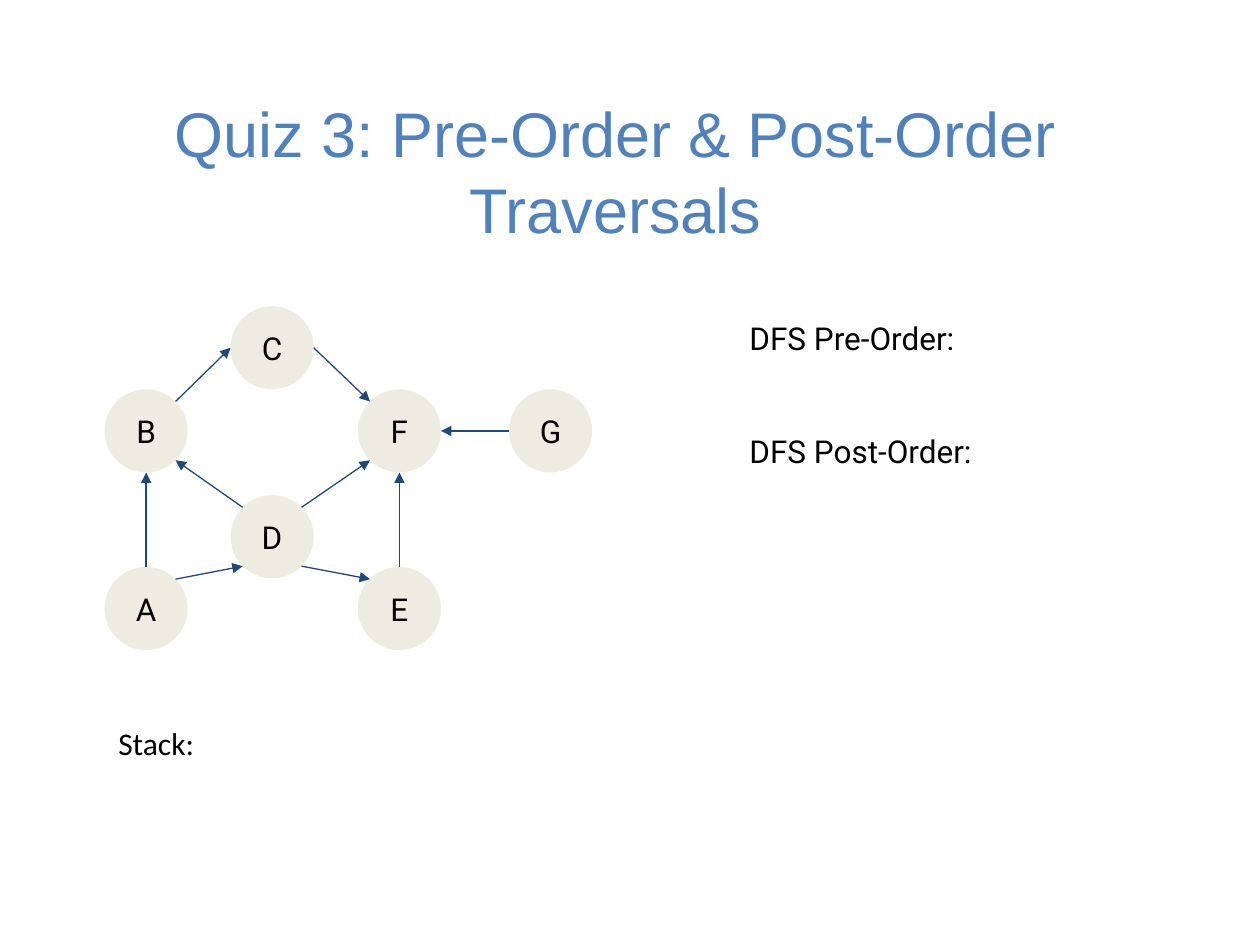
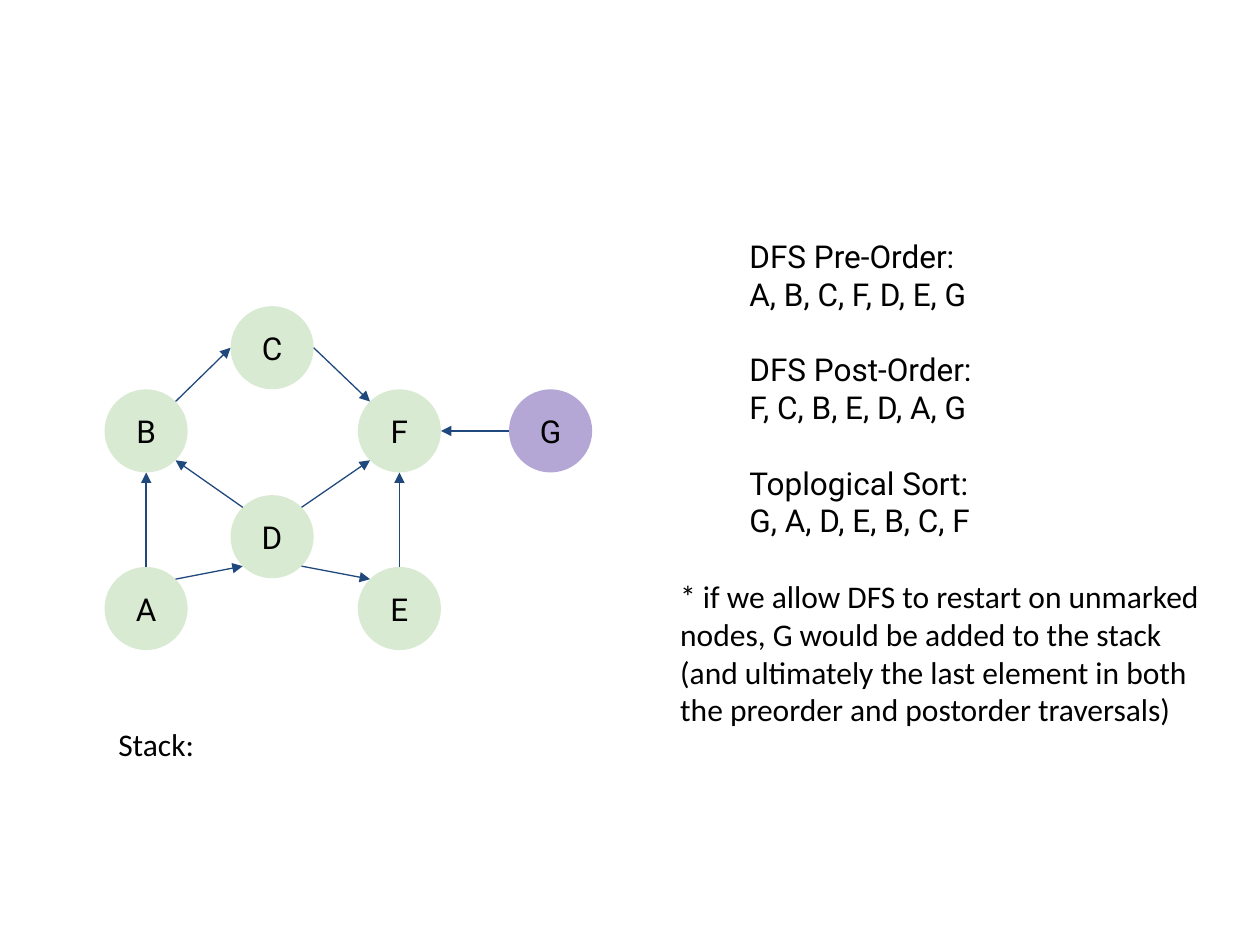
from math import sqrt

from pptx import Presentation
from pptx.dml.color import RGBColor
from pptx.enum.shapes import MSO_CONNECTOR as Connector
from pptx.enum.shapes import MSO_SHAPE as Shape
from pptx.enum.text import MSO_ANCHOR as Anchor
from pptx.enum.text import MSO_AUTO_SIZE as AutoSize
from pptx.enum.text import PP_ALIGN as Align
from pptx.oxml import parse_xml
from pptx.oxml.ns import nsdecls, qn
from pptx.util import Inches, Pt

COLUMNS, ROWS = 100, 75
TITLE_ONLY, BLANK = 5, 6
INK, NAVY, TITLE_BLUE = "000000", "1F497D", "4F81BD"
UNVISITED, VISITED, RESTARTED = "EEECE1", "D9EAD3", "B4A7D6"

NODE_SIZE = 6.6
NODES = {
    "A": (8.3, 45), "B": (8.3, 30.9), "D": (18.3, 39.3), "E": (28.4, 45),
    "F": (28.4, 30.9), "C": (18.3, 24.3), "G": (40.4, 30.9),
}
DIAGONAL = 1 / sqrt(2)
SITES = {
    "top": (0, -1), "bottom": (0, 1), "left": (-1, 0), "right": (1, 0),
    "top left": (-DIAGONAL, -DIAGONAL), "top right": (DIAGONAL, -DIAGONAL),
    "bottom left": (-DIAGONAL, DIAGONAL), "bottom right": (DIAGONAL, DIAGONAL),
}
EDGES = [
    ("A", "top", "B", "bottom"),
    ("A", "top right", "D", "bottom left"),
    ("D", "top left", "B", "bottom right"),
    ("B", "top right", "C", "left"),
    ("D", "top right", "F", "bottom left"),
    ("D", "bottom right", "E", "top left"),
    ("E", "top", "F", "bottom"),
    ("C", "right", "F", "top left"),
    ("G", "left", "F", "right"),
]


def color(value):
    return RGBColor.from_string(value)


def set_values(target, values):
    for name, value in values.items():
        setattr(target, name, value)


class GraphDeck:
    """Builds slides that show a depth-first search on a directed graph."""

    def __init__(self):
        self.presentation = Presentation()
        self.presentation.slide_width = Inches(10)
        self.presentation.slide_height = Inches(7.5)
        self.frame_format = {
            f"margin_{side}": Inches(0.1) for side in ("left", "top", "right", "bottom")
        } | {"word_wrap": True}
        self.slide = None

    def add_slide(self, layout):
        layouts = self.presentation.slide_layouts
        self.slide = self.presentation.slides.add_slide(layouts[layout])

    def place(self, column, row):
        width, height = self.presentation.slide_width, self.presentation.slide_height
        return round(column * width / COLUMNS), round(row * height / ROWS)

    def fill_text(self, shape, groups, font="Roboto", size=18, ink=INK, align=Align.LEFT,
                  gap_lines=1, anchor=Anchor.TOP, fit=AutoSize.NONE):
        frame = shape.text_frame
        set_values(frame, self.frame_format | {"vertical_anchor": anchor, "auto_size": fit})
        line_height = Pt(size * 1.2)
        frame.text = "\n".join(line for group in groups for line in group)
        for paragraph in frame.paragraphs:
            set_values(paragraph, {"alignment": align, "line_spacing": line_height})
            set_values(paragraph.font, {"name": font, "size": Pt(size)})
            paragraph.font.color.rgb = color(ink)
        start = 0
        for group in groups[:-1]:
            start += len(group)
            frame.paragraphs[start].space_before = line_height * gap_lines

    def title(self, text):
        shape = self.slide.shapes.title
        shape.left, shape.top = self.place(1.1, 6.5)
        shape.width, shape.height = self.place(95.5, 8.4)
        self.fill_text(shape, [[text]], font="Arial", size=36, ink=TITLE_BLUE,
                       align=Align.CENTER)

    def text(self, column, row, width, height, groups, **style):
        box = self.slide.shapes.add_textbox(*self.place(column, row), *self.place(width, height))
        self.fill_text(box, groups, fit=AutoSize.SHAPE_TO_FIT_TEXT, **style)

    def node(self, letter, fill):
        shape = self.slide.shapes.add_shape(
            Shape.OVAL, *self.place(*NODES[letter]), *self.place(NODE_SIZE, NODE_SIZE))
        shape.shadow.inherit = False
        shape.fill.solid()
        shape.fill.fore_color.rgb = color(fill)
        shape.line.fill.background()
        self.fill_text(shape, [[letter]], align=Align.CENTER, anchor=Anchor.MIDDLE)

    def site(self, letter, side):
        radius = NODE_SIZE / 2
        return self.place(*(
            corner + radius * (1 + offset)
            for corner, offset in zip(NODES[letter], SITES[side])))

    def arrow(self, start, start_side, end, end_side):
        connector = self.slide.shapes.add_connector(
            Connector.STRAIGHT, *self.site(start, start_side), *self.site(end, end_side))
        connector.line.color.rgb = color(NAVY)
        connector.line.width = Pt(0.75)
        line = connector.element.spPr.find(qn("a:ln"))
        line.append(parse_xml(f'<a:tailEnd {nsdecls("a")} type="triangle"/>'))
        line.addnext(parse_xml(f'<a:effectLst {nsdecls("a")}/>'))

    def graph(self, fill, special=None):
        for letter in NODES:
            self.node(letter, (special or {}).get(letter, fill))
        for edge in EDGES:
            self.arrow(*edge)

    def stack(self, height):
        self.text(8.4, 56.5, 80.2, height, [["Stack:"]], font="Calibri")


def main():
    deck = GraphDeck()

    deck.add_slide(TITLE_ONLY)
    deck.title("Quiz 3: Pre-Order & Post-Order Traversals")
    deck.graph(UNVISITED)
    deck.text(58.5, 24.3, 24.3, 17.2, [["DFS Pre-Order:"], ["DFS Post-Order:"]], gap_lines=2)
    deck.stack(5)

    deck.add_slide(BLANK)
    deck.graph(VISITED, {"G": RESTARTED})
    deck.text(58.5, 17.8, 24.3, 26.3, [
        ["DFS Pre-Order:", "A, B, C, F, D, E, G"],
        ["DFS Post-Order:", "F, C, B, E, D, A, G"],
        ["Toplogical Sort:", "G, A, D, E, B, C, F"],
    ])
    deck.stack(8.1)
    deck.text(53, 44.8, 43.5, 14.1, [[
        "* if we allow DFS to restart on unmarked nodes, G would be added to the stack "
        "(and ultimately the last element in both the preorder and postorder traversals)"
    ]], font="Calibri")

    deck.presentation.save("out.pptx")


if __name__ == "__main__":
    main()
